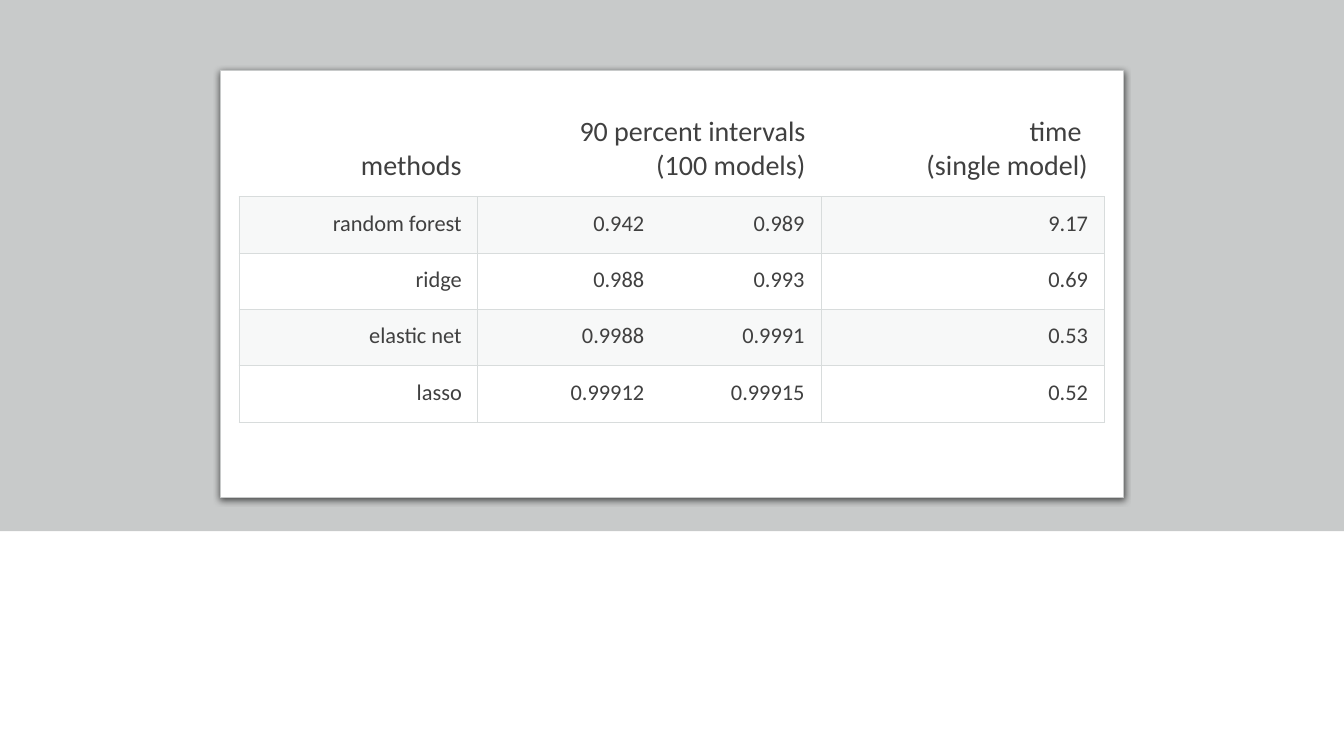
from lxml import etree
from pptx import Presentation, util as u
from pptx.dml.color import RGBColor
from pptx.enum import shapes, text
from pptx.oxml import ns

GRAY = RGBColor(0xC8, 0xCA, 0xCA)
WHITE = RGBColor(0xFF, 0xFF, 0xFF)
INK = RGBColor(0x40, 0x40, 0x40)
BAND = RGBColor(0xD8, 0xDE, 0xDC)
RULE = RGBColor(0xD8, 0xDC, 0xDC)


def add_element(parent, tag, **attributes):
    return etree.SubElement(parent, ns.qn(tag), attributes)


def add_border(cell, side, visible):
    line = add_element(cell._tc.get_or_add_tcPr(), "a:ln" + side, w=str(u.Pt(0.75)))
    if visible:
        add_element(add_element(line, "a:solidFill"), "a:srgbClr", val=str(RULE))
    else:
        add_element(line, "a:noFill")


presentation = Presentation()
presentation.slide_width = u.Inches(13.33)
presentation.slide_height = u.Inches(7.5)
slide = presentation.slides.add_slide(presentation.slide_layouts[6])

backdrop = slide.shapes.add_shape(
    shapes.MSO_SHAPE.RECTANGLE, 0, 0, presentation.slide_width, u.Inches(5.27))
backdrop.shadow.inherit = False
backdrop.fill.solid()
backdrop.fill.fore_color.rgb = GRAY
backdrop.line.fill.background()

card = slide.shapes.add_shape(
    shapes.MSO_SHAPE.ROUNDED_RECTANGLE,
    u.Inches(2.19), u.Inches(0.7), u.Inches(8.95), u.Inches(4.24))
card.adjustments[0] = 0
card.fill.solid()
card.fill.fore_color.rgb = WHITE
card.line.color.rgb = GRAY
card.line.width = u.Pt(0.75)
card.shadow.inherit = False
effects = card._element.spPr.find(ns.qn("a:effectLst"))
shadow = add_element(effects, "a:outerShdw", blurRad=str(u.Pt(4.5)),
                     dist=str(u.Pt(1.5)), dir="5400000", rotWithShape="0")
add_element(add_element(shadow, "a:srgbClr", val="000000"), "a:alpha", val="63000")

column_widths = [2.37, 3.41, 2.8]
row_heights = [0.85] + [0.56] * 4
interval_tabs = [1.4, 2.99]
results = [
    ["methods", "90 percent intervals\n(100 models)", "time \n(single model)"],
    ["random forest", "\t0.942\t0.989", "9.17"],
    ["ridge", "\t0.988\t0.993", "0.69"],
    ["elastic net", "\t0.9988\t0.9991", "0.53"],
    ["lasso", "\t0.99912\t0.99915", "0.52"],
]
table = slide.shapes.add_table(
    len(row_heights), len(column_widths), u.Inches(2.37), u.Inches(1.01),
    u.Inches(sum(column_widths)), u.Inches(sum(row_heights))).table
table.first_row = False
table.horz_banding = False
for column, width in zip(table.columns, column_widths):
    column.width = u.Inches(width)
for row, height in zip(table.rows, row_heights):
    row.height = u.Inches(height)

for row_index, values in enumerate(results):
    header = row_index == 0
    for column_index, value in enumerate(values):
        cell = table.cell(row_index, column_index)
        cell.margin_left = u.Inches(0.25)
        cell.margin_right = u.Inches(0.16)
        cell.margin_top = cell.margin_bottom = u.Inches(0.13)
        cell.vertical_anchor = text.MSO_ANCHOR.BOTTOM if header else text.MSO_ANCHOR.TOP
        for side in "LRTB":
            add_border(cell, side, not header or side == "B")
        if row_index % 2:
            cell.fill.solid()
            cell.fill.fore_color.rgb = BAND
            color = cell._tc.tcPr.find(ns.qn("a:solidFill")).find(ns.qn("a:srgbClr"))
            add_element(color, "a:alpha", val="20000")
        else:
            cell.fill.background()
        for line_index, line_text in enumerate(value.split("\n")):
            frame = cell.text_frame
            paragraph = frame.add_paragraph() if line_index else frame.paragraphs[0]
            paragraph.alignment = text.PP_ALIGN.RIGHT
            if "\t" in line_text:
                paragraph.alignment = text.PP_ALIGN.LEFT
                tabs = add_element(paragraph._p.get_or_add_pPr(), "a:tabLst")
                for position in interval_tabs:
                    add_element(tabs, "a:tab", pos=str(u.Inches(position)), algn="r")
            run = paragraph.add_run()
            run.text = line_text
            run.font.name = "Calibri"
            run.font.size = u.Pt(20 if header else 16)
            run.font.color.rgb = INK

presentation.save("out.pptx")
